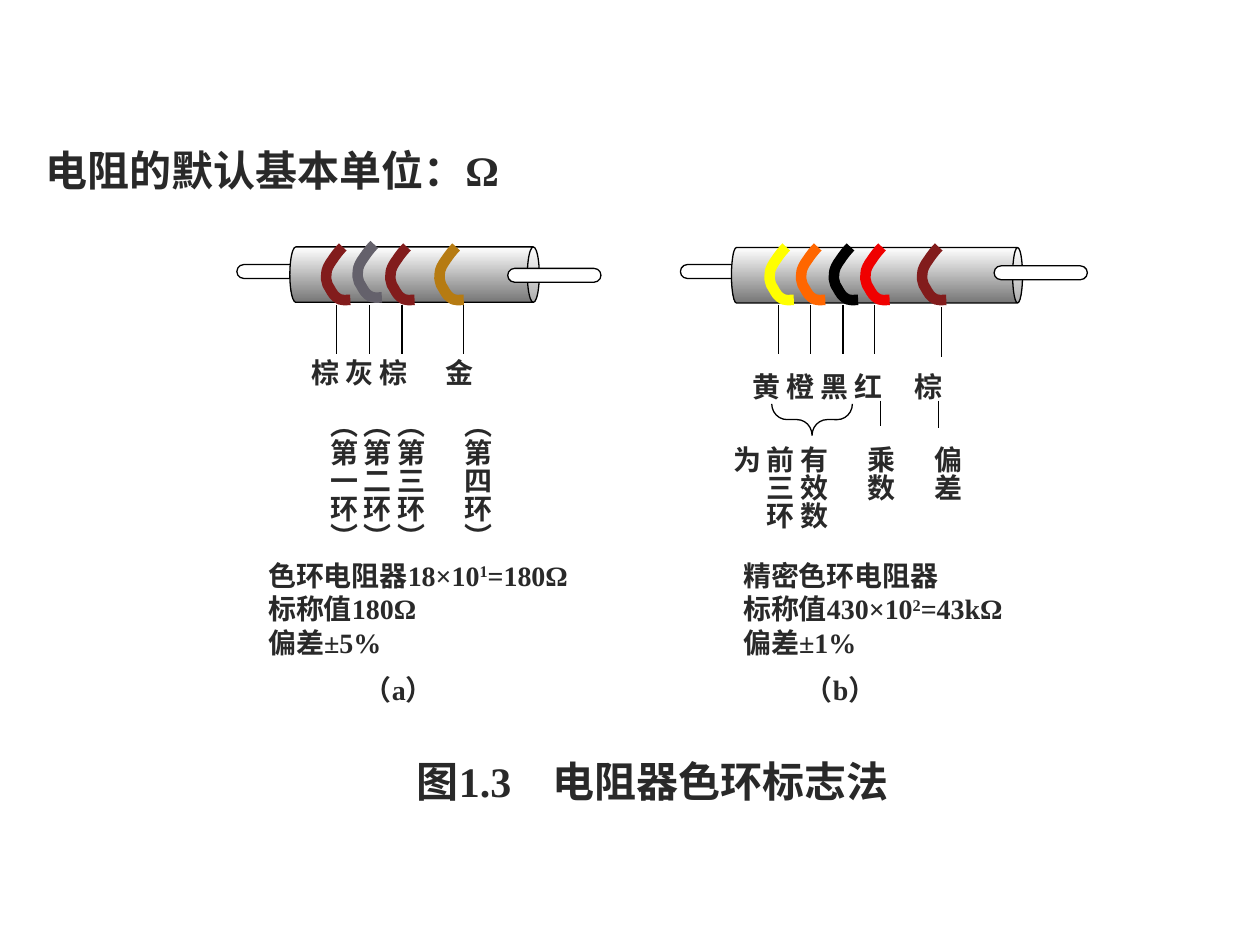
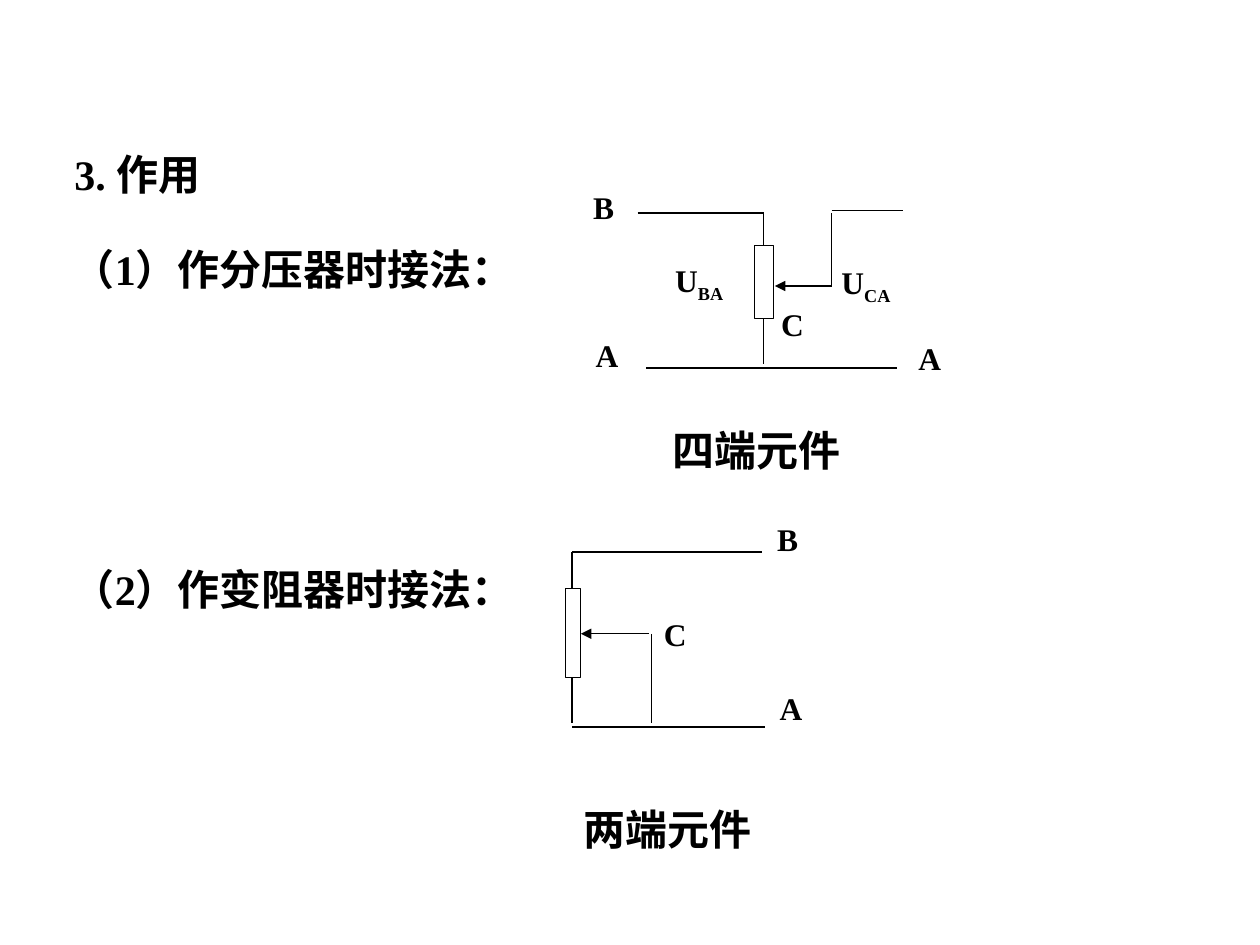
from lxml import etree
from pptx import Presentation
from pptx.dml.color import RGBColor
from pptx.enum.shapes import MSO_CONNECTOR, MSO_SHAPE as SHAPE
from pptx.enum.text import MSO_ANCHOR, MSO_AUTO_SIZE, PP_ALIGN
from pptx.oxml.ns import qn
from pptx.util import Inches, Pt

COLORS = {
    "ink": "292929", "black": "000000", "white": "FFFFFF", "shade": "767676",
    "brown": "821C1C", "grey": "64616B", "gold": "B67B12", "yellow": "FFFF00",
    "orange": "FF6600", "red": "F00000",
}
FONT = {"name": "Times New Roman", "bold": True}
FRAME = {"word_wrap": True, "auto_size": MSO_AUTO_SIZE.NONE,
         "vertical_anchor": MSO_ANCHOR.TOP}
INSETS = {"margin_left": 0.1, "margin_right": 0.1, "margin_top": 0.05, "margin_bottom": 0.05}
VERTICAL_INSETS = {"margin_left": 0.05, "margin_right": 0.05,
                   "margin_top": 0.1, "margin_bottom": 0.1}

# Colour ring outline: a start point, then cubic segments, relative to its corner
RING_START = (0.14, 0)
RING_CURVES = [
    ((0.11, 0.03), (0.08, 0.07), (0.06, 0.1)),
    ((0.03, 0.14), (0.01, 0.18), (0.01, 0.21)),
    ((0, 0.24), (0.01, 0.26), (0.02, 0.3)),
    ((0.04, 0.33), (0.06, 0.38), (0.09, 0.4)),
    ((0.12, 0.43), (0.17, 0.42), (0.2, 0.42)),
]


def rgb(color):
    return RGBColor.from_string(COLORS[color])


def set_attributes(target, values):
    for key, value in values.items():
        setattr(target, key, value)


def set_line(item, color="black", width=0.75):
    item.line.color.rgb = rgb(color)
    item.line.width = Pt(width)


# Text
def write(frame, paragraphs, size, color, insets=INSETS, tab=None):
    """A paragraph is a list of (text, baseline percent) or a plain string."""
    set_attributes(frame, FRAME)
    set_attributes(frame, {side: Inches(gap) for side, gap in insets.items()})
    for index, parts in enumerate(paragraphs):
        paragraph = frame.add_paragraph() if index else frame.paragraphs[0]
        paragraph.alignment = PP_ALIGN.JUSTIFY
        if tab:
            stops = etree.SubElement(paragraph._p.get_or_add_pPr(), qn("a:tabLst"))
            etree.SubElement(stops, qn("a:tab"), pos=str(Inches(tab)), algn="l")
        for text, baseline in [(parts, 0)] if isinstance(parts, str) else parts:
            run = paragraph.add_run()
            run.text = text
            set_attributes(run.font, {**FONT, "size": Pt(size)})
            run.font.color.rgb = rgb(color)
            if baseline:
                run.font._element.set("baseline", str(baseline * 1000))


def add_text(shapes, box, paragraphs, size=16, color="ink", **options):
    frame = shapes.add_textbox(*map(Inches, box)).text_frame
    write(frame, paragraphs, size, color, **options)
    return frame


def add_vertical_text(shapes, box, columns, gap_before):
    """Columns run right to left; those in gap_before stand one column apart."""
    frame = add_text(shapes, box, columns, insets=VERTICAL_INSETS)
    frame._txBody.bodyPr.set("vert", "eaVert")
    for index in gap_before:
        frame.paragraphs[index].space_before = Pt(19)


def add_titled_slide(deck, box, title, color):
    slide = deck.slides.add_slide(deck.slide_layouts[5])
    heading = slide.shapes.title
    set_attributes(heading, dict(zip(("left", "top", "width", "height"), map(Inches, box))))
    write(heading.text_frame, [title], 24, color)
    return slide.shapes


# Shapes and lines
def add_outlined(shapes, kind, box, fill="white", adjust=()):
    shape = shapes.add_shape(kind, *map(Inches, box))
    shape.shadow.inherit = False
    set_line(shape)
    if fill:
        shape.fill.solid()
        shape.fill.fore_color.rgb = rgb(fill)
    else:
        shape.fill.background()
    for index, value in enumerate(adjust):
        shape.adjustments[index] = value
    return shape


def add_wire(shapes, start, end, arrow=False):
    wire = shapes.add_connector(MSO_CONNECTOR.STRAIGHT, *map(Inches, (*start, *end)))
    set_line(wire)
    if arrow:
        etree.SubElement(wire.line._get_or_add_ln(), qn("a:headEnd"), type="triangle")
    etree.SubElement(wire._element.spPr, qn("a:effectLst"))


def add_ring(shapes, left, top, color):
    def place(point):
        return Inches(left + point[0]), Inches(top + point[1])

    builder = shapes.build_freeform(*place(RING_START))
    builder.add_line_segments([place(curve[-1]) for curve in RING_CURVES], close=False)
    ring = builder.convert_to_shape()
    # Bend each straight segment into its cubic curve
    for segment, curve in zip(list(ring._element.iter(qn("a:lnTo"))), RING_CURVES):
        bend = etree.Element(qn("a:cubicBezTo"))
        for x, y in map(place, curve):
            etree.SubElement(bend, qn("a:pt"), x=str(x - ring.left), y=str(y - ring.top))
        segment.getparent().replace(segment, bend)
    ring.shadow.inherit = False
    ring.fill.background()
    set_line(ring, color, 6)


def add_resistor(shapes, left_lead, body, rim, right_lead, rings, ticks):
    add_outlined(shapes, SHAPE.ROUNDED_RECTANGLE, left_lead, adjust=[0.5])
    can = add_outlined(shapes, SHAPE.CAN, body, adjust=[rim])
    can.rotation = 90
    can.fill.gradient()
    for stop, color, position in zip(can.fill.gradient_stops, ("white", "shade"), (0, 1)):
        stop.color.rgb = rgb(color)
        stop.position = position
    can.fill.gradient_angle = 270
    can._element.spPr.find(qn("a:gradFill")).set("rotWithShape", "0")
    add_outlined(shapes, SHAPE.ROUNDED_RECTANGLE, right_lead, adjust=[0.5])
    for left, top, color in rings:
        add_ring(shapes, left, top, color)
    for x, top in ticks:
        add_wire(shapes, (x, top), (x, top + 0.39))


# Slide 1: colour rings
def build_color_rings(deck):
    shapes = add_titled_slide(deck, (0.26, 1.1, 4.11, 0.5), "电阻的默认基本单位：Ω", "ink")

    # (a) four rings
    add_resistor(
        shapes, (1.88, 2.1, 1.19, 0.11), (3.07, 1.19, 0.44, 1.98), 0.215,
        (4.03, 2.13, 0.74, 0.11),
        [(2.58, 1.96, "brown"), (2.83, 1.94, "grey"), (3.09, 1.96, "brown"),
         (3.48, 1.96, "gold")],
        [(x, 2.42) for x in (2.67, 2.93, 3.19, 3.68)])
    add_text(shapes, (2.37, 2.77, 1.99, 0.55), ["棕 灰 棕\t金"], tab=1.07)
    add_vertical_text(shapes, (2.17, 3.16, 1.8, 1.44),
                      [f"（第{number}环）" for number in "四三二一"], gap_before=[1])
    add_text(shapes, (2.03, 4.38, 2.78, 0.85),
             [[("色环电阻器18×10", 0), ("1", 30), ("=180Ω", 0)], "标称值180Ω", "偏差±5%"])

    # (b) five rings
    add_resistor(
        shapes, (5.4, 2.1, 1.19, 0.11), (6.74, 1.03, 0.44, 2.31), 0.178,
        (7.89, 2.11, 0.74, 0.11),
        [(6.1, 1.96, "yellow"), (6.35, 1.96, "orange"), (6.61, 1.96, "black"),
         (6.86, 1.96, "red"), (7.31, 1.96, "brown")],
        [(6.18, 2.42), (6.43, 2.42), (6.69, 2.42), (6.94, 2.42), (7.47, 2.44)])
    add_text(shapes, (5.87, 2.88, 1.91, 0.39), ["黄 橙 黑 红\t棕"], tab=1.29)
    brace = add_outlined(shapes, SHAPE.RIGHT_BRACE, (6.32, 3.01, 0.25, 0.64),
                         fill=None, adjust=[0.48, 0.5])
    brace.rotation = 90
    add_wire(shapes, (6.99, 3.18), (6.99, 3.38))
    add_wire(shapes, (7.45, 3.18), (7.45, 3.4))
    add_vertical_text(shapes, (5.86, 3.44, 1.84, 1),
                      ["偏差", "乘数", "有效数", "前三环为"], gap_before=[1, 2])
    add_text(shapes, (5.8, 4.38, 2.75, 0.98),
             ["精密色环电阻器", [("标称值430×10", 0), ("2", 30), ("=43kΩ", 0)], "偏差±1%"])

    # Captions
    add_text(shapes, (2.79, 5.29, 0.95, 0.47), ["（a）"])
    add_text(shapes, (6.29, 5.29, 0.93, 0.49), ["（b）"])
    add_text(shapes, (3.21, 5.95, 4.07, 0.61), ["图1.3\t电阻器色环标志法"], size=24, tab=1.08)


# Slide 2: potentiometer circuits
def add_circuit(slide_shapes, wires, wiper, resistor, labels, caption_box, caption):
    shapes = slide_shapes.add_group_shape().shapes
    for start, end in wires:
        add_wire(shapes, start, end)
    add_wire(shapes, *wiper, arrow=True)
    add_outlined(shapes, SHAPE.RECTANGLE, resistor)
    for box, *parts in labels:
        add_text(shapes, box, [list(zip(parts, (0, -25)))], size=18, color="black")
    add_text(shapes, caption_box, [caption], size=24, color="black")


def build_potentiometer_uses(deck):
    shapes = add_titled_slide(deck, (0.49, 1.13, 2.07, 0.5), "3. 作用", "black")

    # Voltage divider
    add_circuit(
        shapes,
        [((5.06, 1.69), (6.06, 1.69)), ((6.06, 1.69), (6.06, 2.89)),
         ((5.13, 2.92), (7.12, 2.92)), ((6.6, 2.27), (6.6, 1.69)),
         ((6.6, 1.67), (7.17, 1.67))],
        ((6.15, 2.27), (6.6, 2.27)), (5.99, 1.95, 0.15, 0.58),
        [((4.63, 2.62, 0.54, 0.51), "A"), ((7.19, 2.64, 0.48, 0.53), "A"),
         ((4.61, 1.44, 0.45, 0.53), "B"), ((5.26, 2.02, 0.71, 0.56), "U", "BA"),
         ((6.58, 2.04, 0.8, 0.58), "U", "CA"), ((6.1, 2.37, 0.48, 0.36), "C")],
        (5.24, 3.32, 1.89, 0.67), "四端元件")

    # Variable resistor
    add_circuit(
        shapes,
        [((4.54, 4.38), (6.05, 4.38)), ((4.54, 4.38), (4.54, 5.74)),
         ((4.54, 5.77), (6.07, 5.77)), ((5.17, 5.03), (5.17, 5.74))],
        ((4.61, 5.03), (5.15, 5.03)), (4.49, 4.67, 0.12, 0.71),
        [((6.07, 4.08, 0.58, 0.71), "B"), ((6.09, 5.42, 0.56, 0.71), "A"),
         ((5.17, 4.83, 0.53, 0.65), "C")],
        (4.53, 6.33, 1.9, 0.52), "两端元件")

    # Uses
    for top, width, use in ((1.88, 4.69, "（1）作分压器时接法："),
                            (4.42, 4.56, "（2）作变阻器时接法：")):
        add_text(shapes, (0.48, top, width, 0.5), [use], size=24, color="black")


def main():
    deck = Presentation()
    deck.slide_width, deck.slide_height = Inches(10), Inches(7.5)
    build_color_rings(deck)
    build_potentiometer_uses(deck)
    deck.save("out.pptx")


if __name__ == "__main__":
    main()
